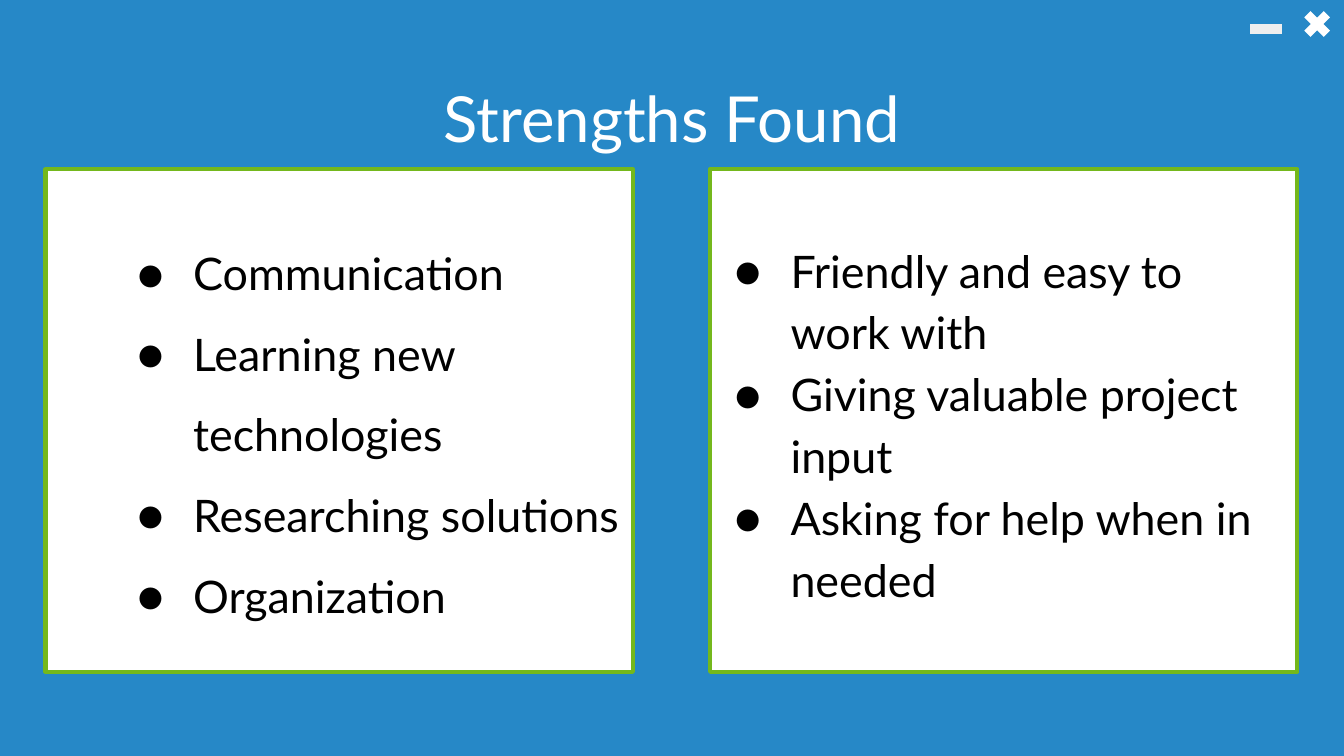
from dataclasses import dataclass

from lxml import etree
from pptx import Presentation
from pptx import util as u
from pptx.dml.color import RGBColor
from pptx.enum import shapes, text
from pptx.oxml import ns

FONT = "Lato"
BLUE, GREEN, WHITE, GREY, BLACK = "2688C7", "74B81C", "FFFFFF", "EEEEEE", "000000"
INSET = u.Cm(0.25)
HANGING = 1.06


@dataclass
class Panel:
    left: float
    indent: float
    line_spacing: float
    items: list[str]


@dataclass
class WindowButton:
    kind: shapes.MSO_SHAPE
    left: float
    top: float
    size: float
    color: str


PANELS = [
    Panel(0.86, 2.54, 1.5, ["Communication", "Learning new technologies",
                            "Researching solutions", "Organization"]),
    Panel(13.42, 1.27, 1.15, ["Friendly and easy to work with",
                              "Giving valuable project input",
                              "Asking for help when in needed"]),
]
BUTTONS = [
    WindowButton(shapes.MSO_SHAPE.MATH_MULTIPLY, 24.54, 0.1, 0.71, WHITE),
    WindowButton(shapes.MSO_SHAPE.MATH_MINUS, 23.52, 0.15, 0.81, GREY),
]


def paint(fill, color: str) -> None:
    fill.solid()
    fill.fore_color.rgb = RGBColor.from_string(color)


def place(shape, left: float, top: float, width: float, height: float) -> None:
    shape.left, shape.top = u.Cm(left), u.Cm(top)
    shape.width, shape.height = u.Cm(width), u.Cm(height)


def set_frame(frame, anchor: text.MSO_ANCHOR) -> None:
    frame.word_wrap = True
    frame.auto_size = text.MSO_AUTO_SIZE.NONE
    frame.vertical_anchor = anchor
    frame.margin_left = frame.margin_right = INSET
    frame.margin_top = frame.margin_bottom = INSET


def add_span(para, words: str, size: int, color: str) -> None:
    span = para.add_run()
    span.text = words
    span.font.name = FONT
    span.font.size = u.Pt(size)
    paint(span.font.fill, color)


def add_bullet(para, indent: float) -> None:
    properties = para._p.get_or_add_pPr()
    properties.set("marL", str(u.Cm(indent)))
    properties.set("indent", str(-u.Cm(HANGING)))
    color = etree.SubElement(properties, ns.qn("a:buClr"))
    etree.SubElement(color, ns.qn("a:srgbClr"), val=BLACK)
    etree.SubElement(properties, ns.qn("a:buFont"), typeface=FONT)
    etree.SubElement(properties, ns.qn("a:buChar"), char="●")


def fill_panel(box, panel: Panel) -> None:
    place(box, panel.left, 3.2, 11.1, 9.5)
    paint(box.fill, WHITE)
    paint(box.line.fill, GREEN)
    box.line.width = u.Pt(2.25)
    frame = box.text_frame
    set_frame(frame, text.MSO_ANCHOR.MIDDLE)
    for index, item in enumerate(panel.items):
        para = frame.add_paragraph() if index else frame.paragraphs[0]
        para.line_spacing = panel.line_spacing
        para.space_before = para.space_after = u.Pt(0)
        add_bullet(para, panel.indent)
        add_span(para, item, 24, BLACK)


def add_button(page, button: WindowButton) -> None:
    shape = page.shapes.add_shape(button.kind, 0, 0, 0, 0)
    place(shape, button.left, button.top, button.size, button.size)
    paint(shape.fill, button.color)
    shape.line.fill.background()
    shape.shadow.inherit = False


def main() -> None:
    deck = Presentation()
    deck.slide_width, deck.slide_height = u.Cm(25.4), u.Cm(14.29)
    page = deck.slides.add_slide(deck.slide_layouts.get_by_name("Two Content"))
    paint(page.background.fill, BLUE)

    # Title
    title, *boxes = page.placeholders
    place(title, 0.86, 1.24, 23.68, 1.6)
    set_frame(title.text_frame, text.MSO_ANCHOR.TOP)
    heading = title.text_frame.paragraphs[0]
    heading.alignment = text.PP_ALIGN.CENTER
    add_span(heading, "Strengths Found", 34, WHITE)

    # Two lists side by side
    for box, panel in zip(boxes, PANELS):
        fill_panel(box, panel)

    # Window buttons in the corner
    for button in BUTTONS:
        add_button(page, button)

    deck.save("out.pptx")


if __name__ == "__main__":
    main()
